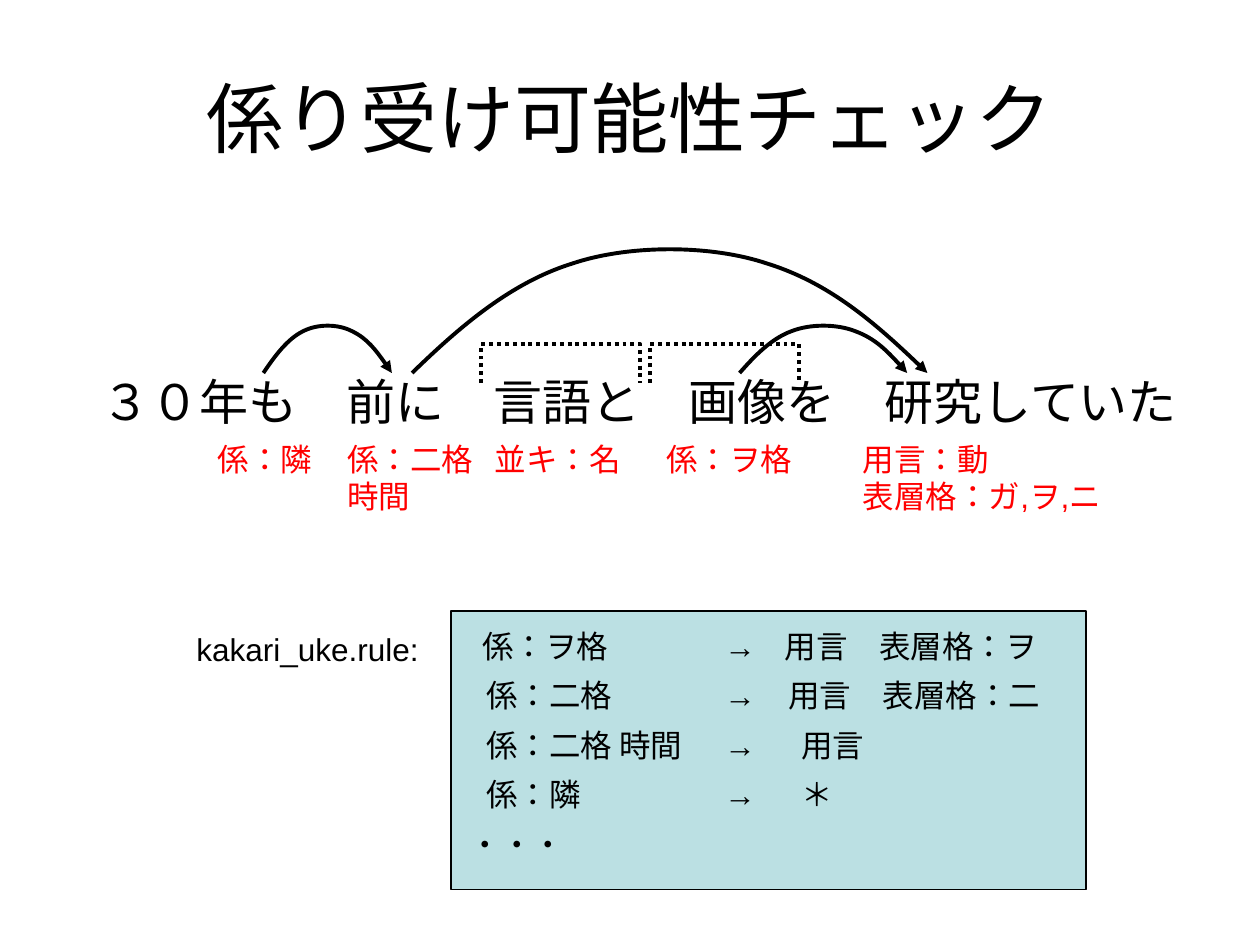
"""Build the slide on checking possible dependencies between Japanese phrases."""
from pptx import Presentation
from pptx.dml.color import RGBColor
from pptx.enum.dml import MSO_LINE
from pptx.enum.lang import MSO_LANGUAGE_ID
from pptx.enum.shapes import MSO_SHAPE
from pptx.enum.text import MSO_ANCHOR, MSO_AUTO_SIZE, PP_ALIGN
from pptx.oxml.ns import qn
from pptx.util import Inches, Pt
from lxml.etree import SubElement

BLACK = RGBColor(0x00, 0x00, 0x00)
RED = RGBColor(0xFF, 0x00, 0x00)
PALE = RGBColor(0xBB, 0xE0, 0xE3)

deck = Presentation()
deck.slide_width, deck.slide_height = Inches(10), Inches(7.5)
slide = deck.slides.add_slide(deck.slide_layouts[6])
shapes = slide.shapes


def add_text(text, left, top, width, height=0.4, size=18, color=BLACK):
    box = shapes.add_textbox(Inches(left), Inches(top), Inches(width), Inches(height))
    frame = box.text_frame
    frame.word_wrap = False
    frame.auto_size = MSO_AUTO_SIZE.SHAPE_TO_FIT_TEXT
    frame.text = text
    for para in frame.paragraphs:
        para.font.size = Pt(size)
        para.font.name = "Arial"
        para.font.color.rgb = color
        para.runs[0].font.language_id = MSO_LANGUAGE_ID.JAPANESE
    return frame


def add_path(points):
    spots = [(Inches(x), Inches(y)) for x, y in points]
    maker = shapes.build_freeform(*spots[0])
    maker.add_line_segments(spots[1:], close=False)
    shape = maker.convert_to_shape()
    shape.shadow.inherit = False
    shape.fill.background()
    shape.line.color.rgb = BLACK
    shape.line.width = Pt(2.25)
    return shape


title = add_text("係り受け可能性チェック", 0.5, 0.3, 9, 1.25, 44)
title.auto_size = MSO_AUTO_SIZE.NONE
title.word_wrap = True
title.vertical_anchor = MSO_ANCHOR.MIDDLE
title.paragraphs[0].alignment = PP_ALIGN.CENTER

add_text("３０年も　前に　言語と　画像を　研究していた", 0.71, 2.9, 8.74, 0.57, 28)

tags = [
    ("係：隣", 1.63, 0.95, 0.4),
    ("係：二格\n時間", 2.66, 1.2, 0.7),
    ("並キ：名", 3.83, 1.2, 0.4),
    ("係：ヲ格", 5.19, 1.2, 0.4),
    ("用言：動\n表層格：ガ,ヲ,ニ", 6.75, 2.33, 0.7),
]
for text, left, width, height in tags:
    add_text(text, left, 3.44, width, height, color=RED)

panel = shapes.add_shape(
    MSO_SHAPE.RECTANGLE, Inches(3.58), Inches(4.85), Inches(5.04), Inches(2.21))
panel.shadow.inherit = False
panel.fill.solid()
panel.fill.fore_color.rgb = PALE
panel.line.color.rgb = BLACK
panel.line.width = Pt(0.75)

add_text("kakari_uke.rule:", 1.46, 4.95, 2.02)
rules = [
    ("係：ヲ格", 3.73, 1.2, "用言　表層格：ヲ", 6.13, 2.2),
    ("係：二格", 3.76, 1.2, "用言　表層格：二", 6.16, 2.2),
    ("係：二格 時間", 3.76, 1.85, "用言", 6.26, 0.7),
    ("係：隣", 3.76, 0.95, "＊", 6.26, 0.45),
]
for row, (source, left, width, target, right, span) in enumerate(rules):
    top = 4.93 + 0.39 * row
    add_text(source, left, top, width)
    add_text("→", 5.65, top, 0.45)
    add_text(target, right, top, span)
add_text("・・・", 3.63, 6.5, 0.95)

for left, right in [(3.82, 5.08), (5.16, 6.34)]:
    frame = add_path([(left, 3.04), (left, 2.73), (right, 2.73), (right, 3.04)])
    frame.line.dash_style = MSO_LINE.ROUND_DOT

across = [0, 0.09, 0.19, 0.31, 0.42, 0.58, 0.69, 0.81, 0.91, 1]
rise = [0, 0.35, 0.7, 0.85, 1, 1, 0.85, 0.7, 0.35, 0]
for left, right, top in [(2.09, 3.11, 2.57), (5.87, 7.2, 2.57), (3.27, 7.36, 1.94)]:
    arc = add_path([(left + (right - left) * x, 2.96 - (2.96 - top) * y)
                    for x, y in zip(across, rise)])
    track = arc._element.find(".//" + qn("a:path"))
    steps = track.findall(qn("a:lnTo"))
    for first in range(0, len(steps), 3):
        curve = SubElement(track, qn("a:cubicBezTo"))
        for step in steps[first:first + 3]:
            curve.append(step[0])
            track.remove(step)
    SubElement(arc.line._get_or_add_ln(), qn("a:tailEnd"), type="triangle")

deck.save("out.pptx")
